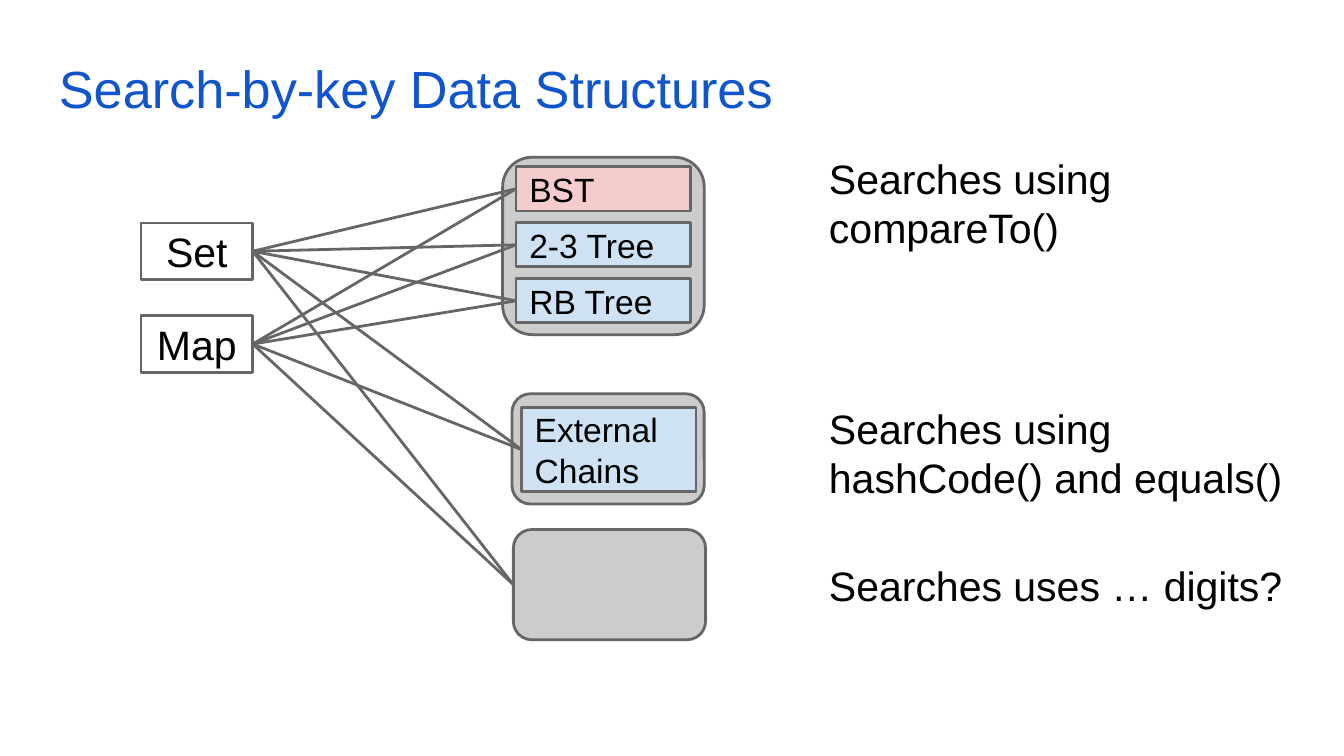
from lxml import etree
from pptx import Presentation
from pptx.dml.color import RGBColor
from pptx.enum import shapes, text
from pptx.oxml import ns
from pptx.util import Inches, Pt

BLACK = RGBColor(0x00, 0x00, 0x00)
WHITE = RGBColor(0xFF, 0xFF, 0xFF)
TITLE_BLUE = RGBColor(0x11, 0x55, 0xCC)
OUTLINE = RGBColor(0x66, 0x66, 0x66)
FAMILY_GREY = RGBColor(0xCC, 0xCC, 0xCC)
PINK = RGBColor(0xF4, 0xCC, 0xCC)
PALE_BLUE = RGBColor(0xCF, 0xE2, 0xF3)

LEFT, RIGHT = 1, 3
TREE_PITCH = 1.25 / 3


def write(shape, words, size, color=BLACK, align=text.PP_ALIGN.LEFT,
          anchor=text.MSO_ANCHOR.TOP):
    """Put one wrapped paragraph into a shape."""
    frame = shape.text_frame
    frame.word_wrap = True
    frame.vertical_anchor = anchor
    frame.margin_left = frame.margin_right = Inches(0.1)
    frame.margin_top = frame.margin_bottom = Inches(0.1)
    paragraph = frame.paragraphs[0]
    paragraph.text = words
    paragraph.alignment = align
    paragraph.font.name = "Arial"
    paragraph.font.size = Pt(size)
    paragraph.font.color.rgb = color


def add_text(slide, place, words, size=22, color=BLACK):
    """Add a text box."""
    write(slide.shapes.add_textbox(*map(Inches, place)), words, size, color)


def add_outlined(slide, kind, place, fill):
    """Add a filled shape with the common outline."""
    shape = slide.shapes.add_shape(kind, *map(Inches, place))
    shape.shadow.inherit = False
    shape.fill.solid()
    shape.fill.fore_color.rgb = fill
    shape.line.color.rgb = OUTLINE
    shape.line.width = Pt(1.5)
    return shape


def add_family(slide, *place):
    """Add a grey rounded panel for a family of structures."""
    return add_outlined(slide, shapes.MSO_SHAPE.ROUNDED_RECTANGLE, place, FAMILY_GREY)


def add_box(slide, place, words, fill, size=18, align=text.PP_ALIGN.LEFT):
    """Add a labelled rectangle."""
    box = add_outlined(slide, shapes.MSO_SHAPE.RECTANGLE, place, fill)
    write(box, words, size, align=align, anchor=text.MSO_ANCHOR.MIDDLE)
    return box


def add_link(slide, source, target):
    """Join the right side of one shape to the left side of another."""
    link = slide.shapes.add_connector(shapes.MSO_CONNECTOR.STRAIGHT, 0, 0, 0, 0)
    link.begin_connect(source, RIGHT)
    link.end_connect(target, LEFT)
    link.line.color.rgb = OUTLINE
    link.line.width = Pt(1.5)
    etree.SubElement(link._element.spPr, ns.qn("a:effectLst"))


def main():
    """Build the slide of search-by-key data structures."""
    deck = Presentation()
    deck.slide_width = Inches(10)
    deck.slide_height = deck.slide_width * 9 // 16
    slide = deck.slides.add_slide(deck.slide_layouts[6])

    add_text(slide, (0.34, 0.32, 9.32, 0.63), "Search-by-key Data Structures",
             28, TITLE_BLUE)

    add_family(slide, 3.81, 2.93, 1.43, 0.82)
    add_family(slide, 3.74, 1.17, 1.5, 1.32)

    interfaces = [
        add_box(slide, (1.05, top, 0.83, 0.42), name, WHITE, 22, text.PP_ALIGN.CENTER)
        for name, top in (("Set", 1.66), ("Map", 2.35))
    ]
    structures = [
        add_box(slide, (3.84, 1.24 + TREE_PITCH * row, 1.3, 0.33), name, fill)
        for row, (name, fill) in enumerate(
            (("BST", PINK), ("2-3 Tree", PALE_BLUE), ("RB Tree", PALE_BLUE)))
    ]
    structures.append(
        add_box(slide, (3.88, 3.03, 1.3, 0.63), "External Chains", PALE_BLUE))
    structures.append(add_family(slide, 3.82, 3.94, 1.43, 0.82))

    for structure in structures:
        for interface in interfaces:
            add_link(slide, interface, structure)

    add_text(slide, (6.07, 1.04, 3.3, 1.01), "Searches using compareTo()")
    add_text(slide, (6.07, 2.9, 3.94, 0.82), "Searches using hashCode() and equals()")
    add_text(slide, (6.07, 4.07, 3.63, 0.69), "Searches uses … digits?")

    deck.save("out.pptx")


if __name__ == "__main__":
    main()
